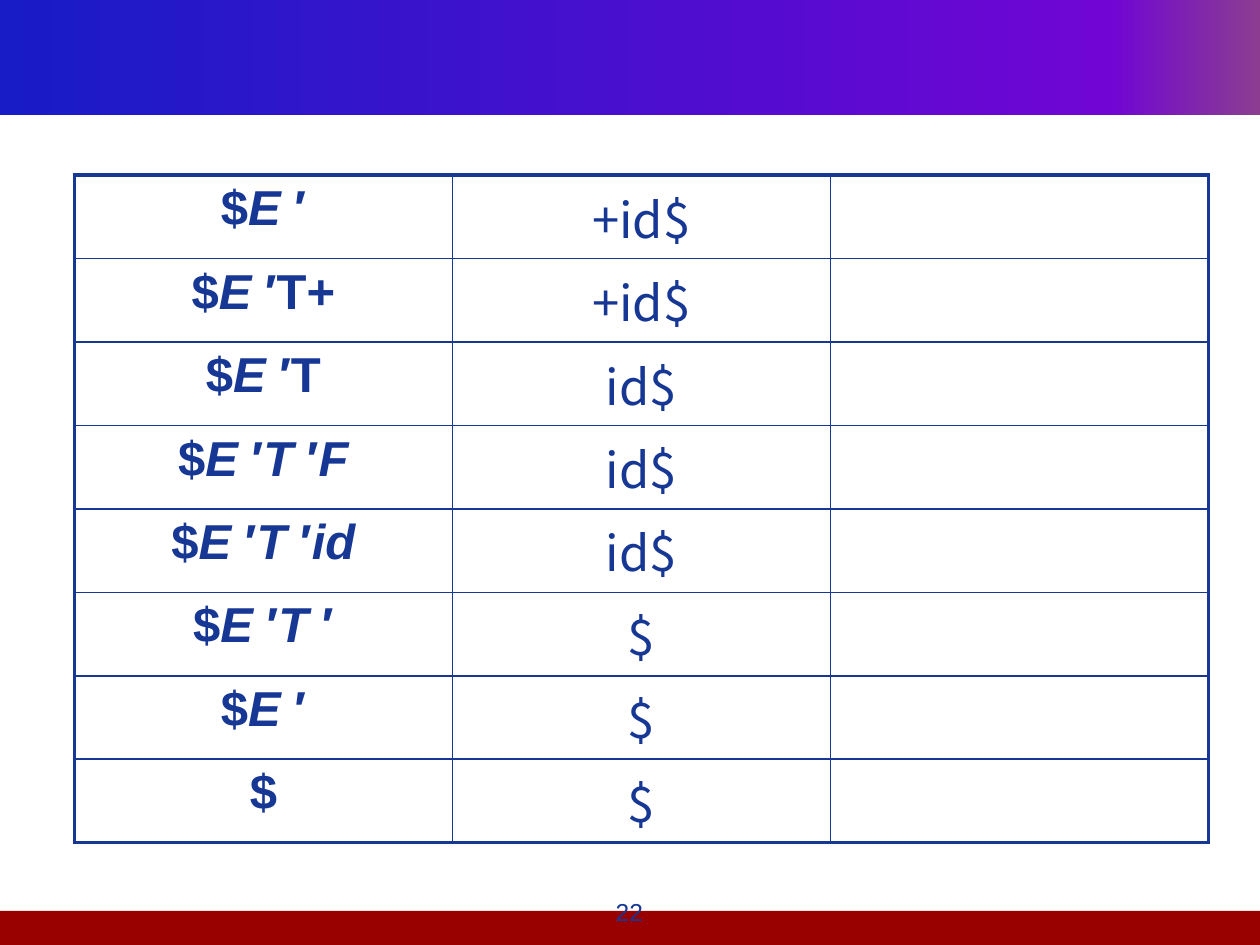
from copy import deepcopy

from lxml import etree
from pptx import Presentation, util as u
from pptx.dml.color import RGBColor
from pptx.enum import shapes, text
from pptx.oxml.ns import qn

NAVY = RGBColor(0x16, 0x37, 0x94)
RED = RGBColor(0x99, 0x00, 0x00)
WHITE = RGBColor(0xFF, 0xFF, 0xFF)
BLUE = RGBColor(0x18, 0x1C, 0xC7)
VIOLET = RGBColor(0x70, 0x05, 0xD4)
PLUM = RGBColor(0x8C, 0x3D, 0x91)

STEPS = [
    ("$|E |′", "+id$"),
    ("$|E |′T+", "+id$"),
    ("$|E |′T", "id$"),
    ("$|E |′|T |′|F", "id$"),
    ("$|E |′|T |′|id", "id$"),
    ("$|E |′|T |′", "$"),
    ("$|E |′", "$"),
    ("$", "$"),
]
COLUMNS = 3
COLUMN_WIDTH = u.Inches(3)
ROW_HEIGHT = u.Inches(0.63)


def add_band(left, top, width, height):
    band = slide.shapes.add_shape(
        shapes.MSO_SHAPE.RECTANGLE, *map(u.Inches, (left, top, width, height)))
    band.shadow.inherit = False
    band.line.fill.background()
    return band


def add_border(cell, side, points):
    line = etree.SubElement(cell._tc.get_or_add_tcPr(), qn(f"a:ln{side}"),
                            w=str(u.Pt(points)))
    fill = etree.SubElement(line, qn("a:solidFill"))
    etree.SubElement(fill, qn("a:srgbClr"), val=str(NAVY))


prs = Presentation()
prs.slide_width, prs.slide_height = u.Inches(10), u.Inches(7.5)
slide = prs.slides.add_slide(prs.slide_layouts[6])

header = add_band(0, 0, 10, 0.91)
header.fill.gradient()
header.fill.gradient_angle = 0
stop_list = header._element.spPr.find(qn("a:gradFill")).find(qn("a:gsLst"))
stop_list.append(deepcopy(stop_list[-1]))
for stop, color, position in zip(header.fill.gradient_stops,
                                 (BLUE, VIOLET, PLUM), (0, 0.88, 1)):
    stop.color.rgb = color
    stop.position = position

footer = add_band(-0.04, 7.23, 10.04, 0.27)
footer.fill.solid()
footer.fill.fore_color.rgb = RED

parse_steps = slide.shapes.add_table(
    len(STEPS), COLUMNS, u.Inches(0.59), u.Inches(1.39),
    COLUMN_WIDTH * COLUMNS, ROW_HEIGHT * len(STEPS)).table
parse_steps.first_row = False
parse_steps.horz_banding = False

for row, step in enumerate(STEPS):
    for column in range(COLUMNS):
        cell = parse_steps.cell(row, column)
        outer_sides = {"L": column == 0, "R": column == COLUMNS - 1,
                       "T": row == 0, "B": row == len(STEPS) - 1}
        for side, outer in outer_sides.items():
            add_border(cell, side, 2.25 if outer else 1)
        cell.fill.solid()
        cell.fill.fore_color.rgb = WHITE
        if column >= len(step):
            continue
        entry = cell.text_frame.paragraphs[0]
        entry.alignment = text.PP_ALIGN.CENTER
        spacing = etree.SubElement(entry._p.get_or_add_pPr(), qn("a:spcBef"))
        etree.SubElement(spacing, qn("a:spcPct"), val="20000")
        for index, symbols in enumerate(step[column].split("|")):
            run = entry.add_run()
            run.text = symbols
            run.font.size = u.Pt(28)
            run.font.name = "Noto Sans CJK SC" if column else "Arial"
            run.font.bold = column == 0
            run.font.italic = index % 2 == 1
            run.font.color.rgb = NAVY

page_number = slide.shapes.add_textbox(
    u.Inches(3.83), u.Inches(7.07), u.Inches(2.33), u.Inches(0.35)).text_frame
page_number.word_wrap = True
page_number.text = "22"
page_number.paragraphs[0].alignment = text.PP_ALIGN.CENTER
number_font = page_number.paragraphs[0].runs[0].font
number_font.size = u.Pt(14)
number_font.name = "Arial"
number_font.color.rgb = NAVY

prs.save("out.pptx")
